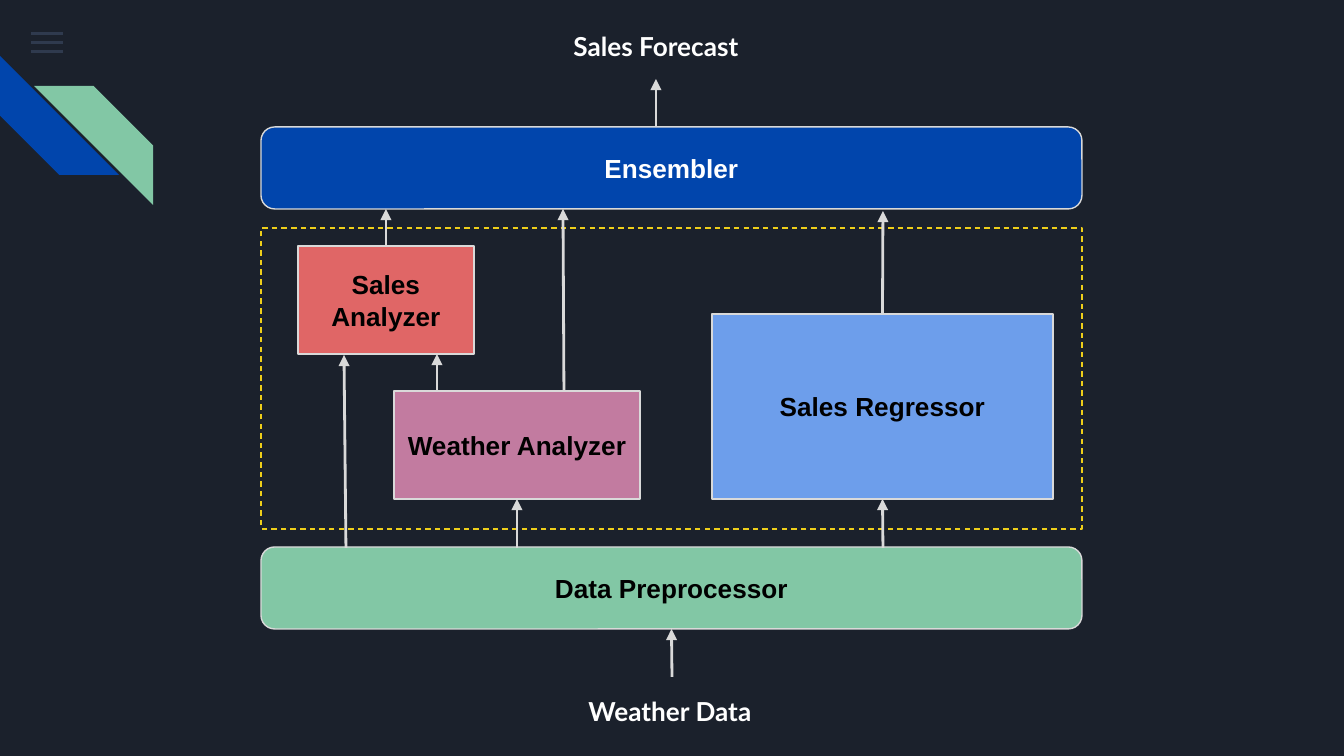
from dataclasses import dataclass

from pptx import Presentation
from pptx.dml.color import RGBColor
from pptx.enum.dml import MSO_LINE
from pptx.enum.shapes import MSO_CONNECTOR, MSO_SHAPE
from pptx.enum.text import MSO_ANCHOR, MSO_AUTO_SIZE, PP_ALIGN
from pptx.oxml.ns import qn
from pptx.util import Emu, Pt
from lxml import etree

RECT = MSO_SHAPE.RECTANGLE
ROUNDED = MSO_SHAPE.ROUNDED_RECTANGLE
STRIPE = MSO_SHAPE.DIAGONAL_STRIPE
STRAIGHT = MSO_CONNECTOR.STRAIGHT
DASH = MSO_LINE.DASH
MIDDLE, TOP_ANCHOR = MSO_ANCHOR.MIDDLE, MSO_ANCHOR.TOP
CENTER = PP_ALIGN.CENTER
FIT_SHAPE = MSO_AUTO_SIZE.SHAPE_TO_FIT_TEXT

TOP, BOTTOM = 0, 2  # connection sites
EMU_PER_PX = 914400 / 134.4
INSET = 13


@dataclass(frozen=True)
class Theme:
    background: str = "1B212C"
    menu: str = "55688B"
    blue: str = "0145AC"
    green: str = "82C7A5"
    red: str = "E06666"
    mauve: str = "C27BA0"
    sky: str = "6D9EEB"
    yellow: str = "EECE1A"
    outline: str = "D9D9D9"
    dark_text: str = "000000"
    light_text: str = "FFFFFF"
    box_font: str = "Arial"
    label_font: str = "Lato"
    text_size: int = 14
    box_line: float = 0.75
    arrow_line: float = 1.5


THEME = Theme()


def px(*lengths):
    return [Emu(round(length * EMU_PER_PX)) for length in lengths]


def rgb(color):
    return RGBColor.from_string(color)


def set_all(target, values):
    for name, value in values.items():
        setattr(target, name, value)


def add_figure(shapes, kind, at, fill=None, line=None):
    figure = shapes.add_shape(kind, *px(*at))
    figure.shadow.inherit = False
    if fill:
        figure.fill.solid()
        figure.fill.fore_color.rgb = rgb(fill)
    else:
        figure.fill.background()
    if line:
        figure.line.color.rgb = rgb(line)
        figure.line.width = Pt(THEME.box_line)
    else:
        figure.line.fill.background()
    return figure


def write_text(frame, text, font, color, anchor):
    margin, = px(INSET)
    set_all(frame, {
        "text": text, "word_wrap": True, "vertical_anchor": anchor,
        "margin_left": margin, "margin_right": margin,
        "margin_top": margin, "margin_bottom": margin,
    })
    for paragraph in frame.paragraphs:
        paragraph.alignment = CENTER
        run_font = paragraph.runs[0].font
        set_all(run_font, {"name": font, "size": Pt(THEME.text_size), "bold": True})
        run_font.color.rgb = rgb(color)


def add_stage(shapes, kind, at, text, fill, color=THEME.dark_text):
    stage = add_figure(shapes, kind, at, fill, THEME.outline)
    write_text(stage.text_frame, text, THEME.box_font, color, MIDDLE)
    return stage


def add_label(shapes, at, text):
    frame = shapes.add_textbox(*px(*at)).text_frame
    write_text(frame, text, THEME.label_font, THEME.light_text, TOP_ANCHOR)
    frame.auto_size = FIT_SHAPE


def add_arrow(shapes, start, end, source=None, target=None):
    """Draw an upward arrow, joined to a source top or a target bottom if given."""
    arrow = shapes.add_connector(STRAIGHT, *px(*start, *end))
    if source:
        arrow.begin_connect(source, TOP)
    if target:
        arrow.end_connect(target, BOTTOM)
    arrow.line.color.rgb = rgb(THEME.outline)
    arrow.line.width = Pt(THEME.arrow_line)
    properties = arrow._element.spPr
    etree.SubElement(properties.find(qn("a:ln")), qn("a:tailEnd"), type="triangle")
    etree.SubElement(properties, qn("a:effectLst"))


def add_decoration(shapes):
    # Menu icon
    for row in range(3):
        bar = add_figure(shapes, RECT, (31, 32 + 9 * row, 32, 3), THEME.menu)
        color = next(bar._element.iter(qn("a:srgbClr")))
        etree.SubElement(color, qn("a:alpha"), val="36000")
    # Corner stripes
    corner = shapes.add_group_shape().shapes
    for at, fill, rotation in (
        ((0, 56, 119, 119), THEME.blue, 270),
        ((34, 86, 119, 119), THEME.green, 90),
    ):
        add_figure(corner, STRIPE, at, fill).rotation = rotation


def add_pipeline(shapes):
    # Model frame
    frame = add_figure(shapes, RECT, (261, 228, 821, 301), line=THEME.yellow)
    frame.line.dash_style = DASH

    # Stages
    preprocessor = add_stage(shapes, ROUNDED, (261, 547, 821, 82),
                             "Data Preprocessor", THEME.green)
    sales_analyzer = add_stage(shapes, RECT, (298, 246, 176, 108),
                               "Sales\nAnalyzer", THEME.red)
    weather_analyzer = add_stage(shapes, RECT, (394, 391, 246, 108),
                                 "Weather Analyzer", THEME.mauve)
    regressor = add_stage(shapes, RECT, (712, 314, 341, 185),
                          "Sales Regressor", THEME.sky)
    add_stage(shapes, ROUNDED, (261, 127, 821, 82),
              "Ensembler", THEME.blue, THEME.light_text)

    # Data flow, from bottom to top
    for start, end, source, target in (
        ((672, 677), (672, 629), None, preprocessor),
        ((517, 548), (517, 499), None, weather_analyzer),
        ((346, 548), (344, 355), None, None),
        ((437, 391), (437, 354), None, None),
        ((883, 314), (883, 211), regressor, None),
        ((883, 548), (883, 499), None, regressor),
        ((386, 246), (386, 209), sales_analyzer, None),
        ((564, 391), (563, 209), None, None),
        ((656, 127), (656, 79), None, None),
    ):
        add_arrow(shapes, start, end, source, target)

    # Input and output
    add_label(shapes, (520, 682, 300, 59), "Weather Data")
    add_label(shapes, (506, 17, 300, 59), "Sales Forecast")


def main():
    deck = Presentation()
    deck.slide_width, deck.slide_height = px(1344, 756)
    slide = deck.slides.add_slide(deck.slide_layouts[6])
    slide.background.fill.solid()
    slide.background.fill.fore_color.rgb = rgb(THEME.background)
    add_decoration(slide.shapes)
    add_pipeline(slide.shapes)
    deck.save("out.pptx")


if __name__ == "__main__":
    main()
